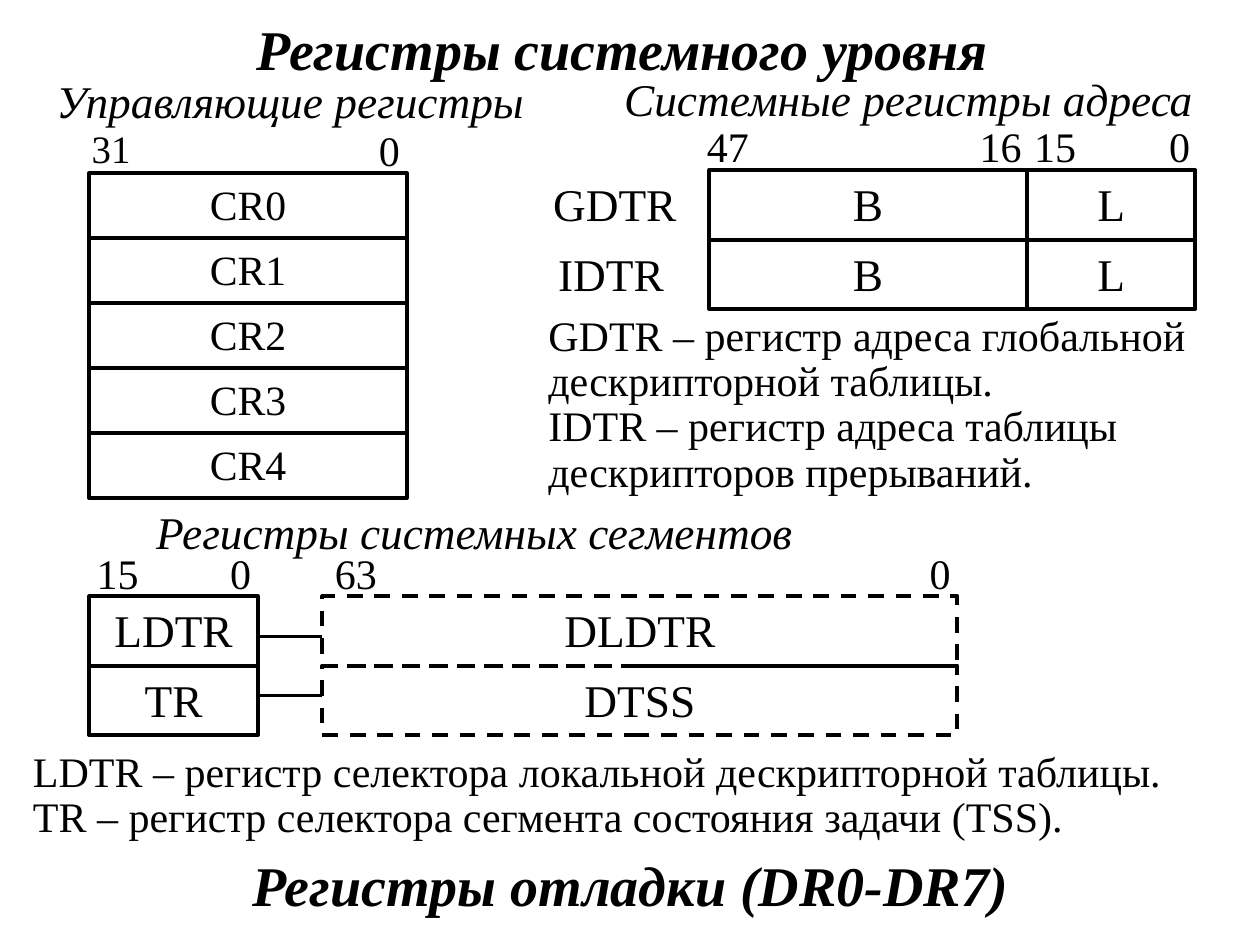
"""Builds the slide on system-level registers."""
from dataclasses import dataclass

from lxml.etree import SubElement as Sub
from pptx import Presentation
from pptx.dml.color import RGBColor as Rgb
from pptx.enum.dml import MSO_LINE as Dash
from pptx.enum.shapes import MSO_CONNECTOR as Conn, MSO_SHAPE as Form
from pptx.enum.text import MSO_ANCHOR as Anchor, MSO_AUTO_SIZE as Auto, PP_ALIGN as Align
from pptx.oxml.ns import qn
from pptx.util import Cm, Pt


@dataclass
class Theme:
    font: str = "Times New Roman"
    ink: Rgb = Rgb(0, 0, 0)
    title: float = 32
    head: float = 25.9
    text: float = 24
    cell: float = 23.8
    small: float = 22.2
    edge: float = 2.25
    link: float = 1.5


look = Theme()

TITLE = "Регистры системного уровня", (0, 0.13, 25.1, 1.7)
CLOSE = "Регистры отладки (DR0-DR7)", (0.46, 17.02, 24.51, 1.63)
HEADS = [
    ("Управляющие регистры", (0.3, 1.35, 11.1, 1.37)),
    ("Системные регистры адреса", (11.71, 1.32, 13.21, 1.37)),
    ("Регистры системных сегментов", (2.21, 10.03, 14.71, 1.37)),
]
NOTES = [
    (["GDTR – регистр адреса глобальной\vдескрипторной таблицы.",
      "IDTR – регистр адреса таблицы\vдескрипторов прерываний."],
     (10.8, 6.22, 13.79, 4.39)),
    (["LDTR – регистр селектора локальной дескрипторной таблицы.",
      "TR – регистр селектора сегмента состояния задачи (TSS)."],
     (0.41, 15.01, 23.7, 2.21)),
]
GRIDS = [
    (["CR0", "CR1", "CR2", "CR3", "CR4"], (1.8, 3.49, 6.4, 1.31), look.cell, None),
    (["B", "B"], (14.3, 3.43, 6.4, 1.4), look.head, None),
    (["L", "L"], (20.7, 3.43, 3.4, 1.4), look.head, None),
    (["LDTR", "TR"], (1.8, 12.02, 3.4, 1.4), look.head, None),
    (["DLDTR", "DTSS"], (6.5, 12.02, 12.8, 1.4), look.head, Dash.DASH),
]
BITS = [
    (2.39, [("31", 1.6, look.small), ("0", 7.39, look.text)]),
    (2.31, [("47", 14, look.text), ("16", 19.5, look.text),
            ("15", 20.6, look.text), ("0", 23.32, look.text)]),
    (10.92, [("15", 1.7, look.text), ("0", 4.39, look.text),
             ("63", 6.5, look.text), ("0", 18.49, look.text)]),
]
BIT_W, BOX_H = 1.5, 1.37
NAMES = [("GDTR", (10.9, 3.43, 3.71, BOX_H)), ("IDTR", (11, 4.83, 3.71, BOX_H))]
LINKS = [12.83, 14.02]
LINK_X = 5.2, 6.5


def write(shape, lines, size, align=Align.LEFT, bold=False, slant=False, lead=1, mid=False):
    frame = shape.text_frame
    frame.word_wrap, frame.auto_size = True, Auto.NONE
    frame.vertical_anchor = Anchor.MIDDLE if mid else Anchor.TOP
    for i, line in enumerate(lines):
        para = frame.add_paragraph() if i else frame.paragraphs[0]
        para.text, para.alignment = line, align
        para.line_spacing, para.space_before = lead, Pt(0)
        font = para.font
        font.name, font.size = look.font, Pt(size)
        font.bold, font.italic = bold, slant
        font.color.rgb = look.ink


def place(shape, area):
    shape.left, shape.top, shape.width, shape.height = map(Cm, area)


def label(slide, text, area, size, **style):
    write(slide.shapes.add_textbox(*map(Cm, area)), [text], size, **style)


def note(shape, lines, area):
    place(shape, area)
    shape.text_frame.text = "\n".join(lines)
    for para in shape.text_frame.paragraphs:
        props = para._p.get_or_add_pPr()
        props.set("marL", "0")
        props.set("indent", "0")
        Sub(props, qn("a:buNone"))
    frame = shape.text_frame
    frame.auto_size, frame.vertical_anchor = Auto.NONE, Anchor.TOP
    for para in frame.paragraphs:
        para.line_spacing, para.space_before = 0.9, Pt(0)
        font = para.font
        font.name, font.size, font.color.rgb = look.font, Pt(look.text), look.ink


def grid(slide, cells, area, size, dash):
    left, top, wide, high = area
    for i, text in enumerate(cells):
        box = slide.shapes.add_shape(
            Form.RECTANGLE, Cm(left), Cm(top + i * high), Cm(wide), Cm(high))
        box.shadow.inherit = False
        box.fill.background()
        box.line.color.rgb, box.line.width = look.ink, Pt(look.edge)
        if dash:
            box.line.dash_style = dash
        write(box, [text], size, Align.CENTER)


def link(slide, y):
    start, end = LINK_X
    wire = slide.shapes.add_connector(Conn.STRAIGHT, Cm(start), Cm(y), Cm(end), Cm(y))
    wire.line.color.rgb, wire.line.width = look.ink, Pt(look.link)
    Sub(wire._element.spPr, qn("a:effectLst"))


def main():
    deck = Presentation()
    deck.slide_width, deck.slide_height = Cm(25.4), Cm(19.05)
    slide = deck.slides.add_slide(deck.slide_layouts[3])
    title, *bodies = slide.placeholders
    text, area = TITLE
    place(title, area)
    write(title, [text], look.title, Align.CENTER, bold=True, slant=True, mid=True)
    for body, (lines, area) in zip(bodies, NOTES):
        note(body, lines, area)
    for cells in GRIDS:
        grid(slide, *cells)
    for text, area in HEADS:
        label(slide, text, area, look.head, align=Align.CENTER, slant=True)
    for text, area in NAMES:
        label(slide, text, area, look.head)
    for top, marks in BITS:
        for text, left, size in marks:
            label(slide, text, (left, top, BIT_W, BOX_H), size)
    for y in LINKS:
        link(slide, y)
    label(slide, *CLOSE, look.title, align=Align.CENTER, bold=True, slant=True)
    deck.save("out.pptx")


if __name__ == "__main__":
    main()
